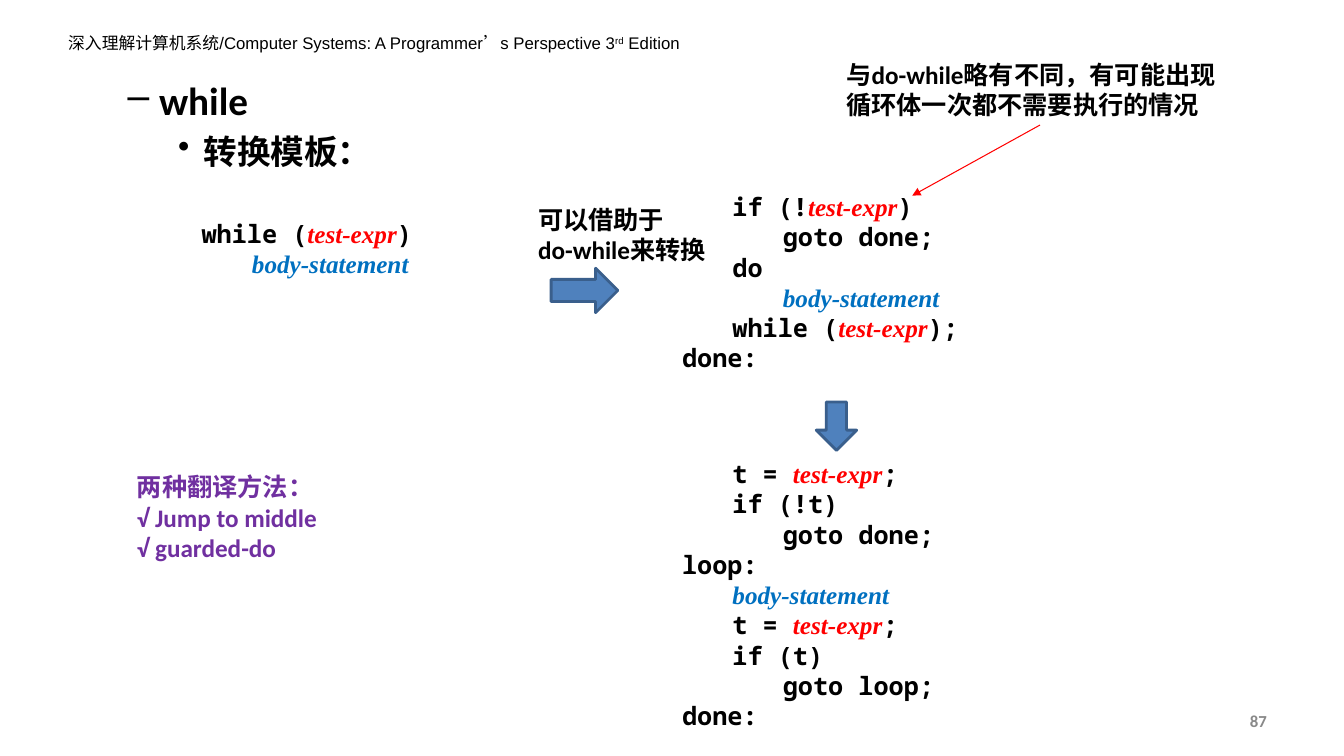
"""Build the slide on translating while loops into goto code."""
from dataclasses import dataclass
from typing import Optional

import lxml.etree
import pptx
import pptx.dml.color
import pptx.enum.shapes
import pptx.enum.text
import pptx.oxml.ns
import pptx.util

Cm, Pt = pptx.util.Cm, pptx.util.Pt
RGBColor = pptx.dml.color.RGBColor
MSO_SHAPE = pptx.enum.shapes.MSO_SHAPE
MSO_ANCHOR = pptx.enum.text.MSO_ANCHOR
PP_ALIGN = pptx.enum.text.PP_ALIGN
qn = pptx.oxml.ns.qn

BLACK = RGBColor(0x00, 0x00, 0x00)
RED = RGBColor(0xFF, 0x00, 0x00)
BLUE = RGBColor(0x00, 0x70, 0xC0)
PURPLE = RGBColor(0x70, 0x30, 0xA0)
GRAY = RGBColor(0x89, 0x89, 0x89)
ARROW_FILL = RGBColor(0x4F, 0x81, 0xBD)
ARROW_LINE = RGBColor(0x3A, 0x5F, 0x8C)


@dataclass(frozen=True)
class Style:
    font: str
    size: float = 18
    color: RGBColor = BLACK
    bold: bool = True
    italic: bool = False
    superscript: bool = False


@dataclass(frozen=True)
class Run:
    text: str
    style: Style


@dataclass(frozen=True)
class Para:
    runs: list[Run]
    bullet: str = ""
    margin: float = 0
    hanging: float = 0
    before: float = 0


@dataclass(frozen=True)
class Box:
    left: float
    top: float
    width: float
    height: float
    paras: list[Para]
    align: Optional[PP_ALIGN] = None
    anchor: MSO_ANCHOR = MSO_ANCHOR.TOP


@dataclass(frozen=True)
class BlockArrow:
    kind: MSO_SHAPE
    left: float
    top: float
    width: float
    height: float


CODE = Style("Noto Sans Mono")
NOTE = Style("Calibri")
METHOD = Style("Calibri", color=PURPLE)
HEADER = Style("Arial", 12, bold=False)
ORDINAL = Style("Arial", 12, bold=False, superscript=True)
TEST = Run("test-expr", Style("Times New Roman", color=RED, italic=True))
BODY = Run("body-statement", Style("Times New Roman", color=BLUE, italic=True))


def line(text: str, style: Style) -> Para:
    return Para([Run(text, style)])


def code(text: str) -> Para:
    return line(text, CODE)


def test_line(before: str, after: str) -> Para:
    return Para([Run(before, CODE), TEST, Run(after, CODE)])


def body_line(tabs: int) -> Para:
    return Para([Run("\t" * tabs, BODY.style), BODY])


BOXES = [
    Box(1.47, 0.71, 15.95, 0.76, [Para([
        Run("深入理解计算机系统/Computer Systems: A Programmer’s Perspective 3", HEADER),
        Run("rd", ORDINAL), Run(" Edition", HEADER)])]),
    Box(24.28, 17.65, 7.9, 1.02, [line("87", Style("Calibri", 12, GRAY))],
        PP_ALIGN.RIGHT, MSO_ANCHOR.MIDDLE),
    Box(1.7, 1.8, 30.48, 12.5, [
        Para([Run("while", Style("Calibri", 28))], "–", 2.06, 0.79),
        Para([Run("转换模板：", Style("Calibri", 24))], "•", 3.18, 0.64, 5)]),
    Box(4.83, 5.38, 8.51, 1.8, [test_line("while (", ")"), body_line(1)]),
    Box(16.94, 4.7, 13.26, 4.88, [
        test_line("\tif (!", ")"), code("\t\tgoto done;"), code("\tdo"),
        body_line(2), test_line("\twhile (", ");"), code("done:")]),
    Box(21.08, 1.37, 10.26, 1.8,
        [line("与do-while略有不同，有可能出现循环体一次都不需要执行的情况", NOTE)]),
    Box(16.94, 11.43, 12.95, 7.19, [
        test_line("\tt = ", ";"), code("\tif (!t)"), code("\t\tgoto done;"),
        code("loop:"), body_line(1), test_line("\tt = ", ";"),
        code("\tif (t)"), code("\t\tgoto loop;"), code("done:")]),
    Box(13.31, 5.03, 5.18, 1.8,
        [line("可以借助于", NOTE), line("do-while来转换", NOTE)]),
    Box(3.2, 11.76, 5.18, 2.57, [
        line(text, METHOD)
        for text in ("两种翻译方法：", "√ Jump to middle", "√ guarded-do")]),
]

ARROWS = [
    BlockArrow(MSO_SHAPE.RIGHT_ARROW, 13.89, 6.76, 1.68, 1.12),
    BlockArrow(MSO_SHAPE.DOWN_ARROW, 20.57, 10.13, 1.02, 1.22),
]


def add_box(s: pptx.slide.Slide, box: Box) -> None:
    sp = s.shapes.add_textbox(Cm(box.left), Cm(box.top), Cm(box.width), Cm(box.height))
    tf = sp.text_frame
    tf.word_wrap = True
    tf.vertical_anchor = box.anchor
    for i, para in enumerate(box.paras):
        p = tf.add_paragraph() if i else tf.paragraphs[0]
        p.alignment = box.align
        if para.bullet:
            pPr = p._p.get_or_add_pPr()
            pPr.set("marL", str(Cm(para.margin)))
            pPr.set("indent", str(-Cm(para.hanging)))
            lxml.etree.SubElement(pPr, qn("a:buChar"), char=para.bullet)
        if para.before:
            p.space_before = Pt(para.before)
        for run in para.runs:
            r = p.add_run()
            r.text = run.text
            r.font.name = run.style.font
            r.font.size = Pt(run.style.size)
            r.font.bold = run.style.bold
            r.font.italic = run.style.italic
            r.font.color.rgb = run.style.color
            if run.style.superscript:
                r._r.get_or_add_rPr().set("baseline", "30000")


def add_block_arrow(s: pptx.slide.Slide, arrow: BlockArrow) -> None:
    sp = s.shapes.add_shape(arrow.kind, Cm(arrow.left), Cm(arrow.top),
                            Cm(arrow.width), Cm(arrow.height))
    sp.shadow.inherit = False
    sp.fill.solid()
    sp.fill.fore_color.rgb = ARROW_FILL
    sp.line.color.rgb = ARROW_LINE
    sp.line.width = Pt(2)


def add_pointer(s: pptx.slide.Slide) -> None:
    sp = s.shapes.add_connector(pptx.enum.shapes.MSO_CONNECTOR.STRAIGHT,
                                Cm(26.21), Cm(3.15), Cm(22.99), Cm(4.93))
    sp.line.color.rgb = RED
    sp.line.width = Pt(0.75)
    lxml.etree.SubElement(sp.line._get_or_add_ln(), qn("a:tailEnd"), type="triangle")
    lxml.etree.SubElement(sp._element.spPr, qn("a:effectLst"))


def main() -> None:
    prs = pptx.Presentation()
    prs.slide_width, prs.slide_height = Cm(33.87), Cm(19.05)
    s = prs.slides.add_slide(prs.slide_layouts[6])
    for box in BOXES:
        add_box(s, box)
    add_pointer(s)
    for arrow in ARROWS:
        add_block_arrow(s, arrow)
    prs.save("out.pptx")


if __name__ == "__main__":
    main()
